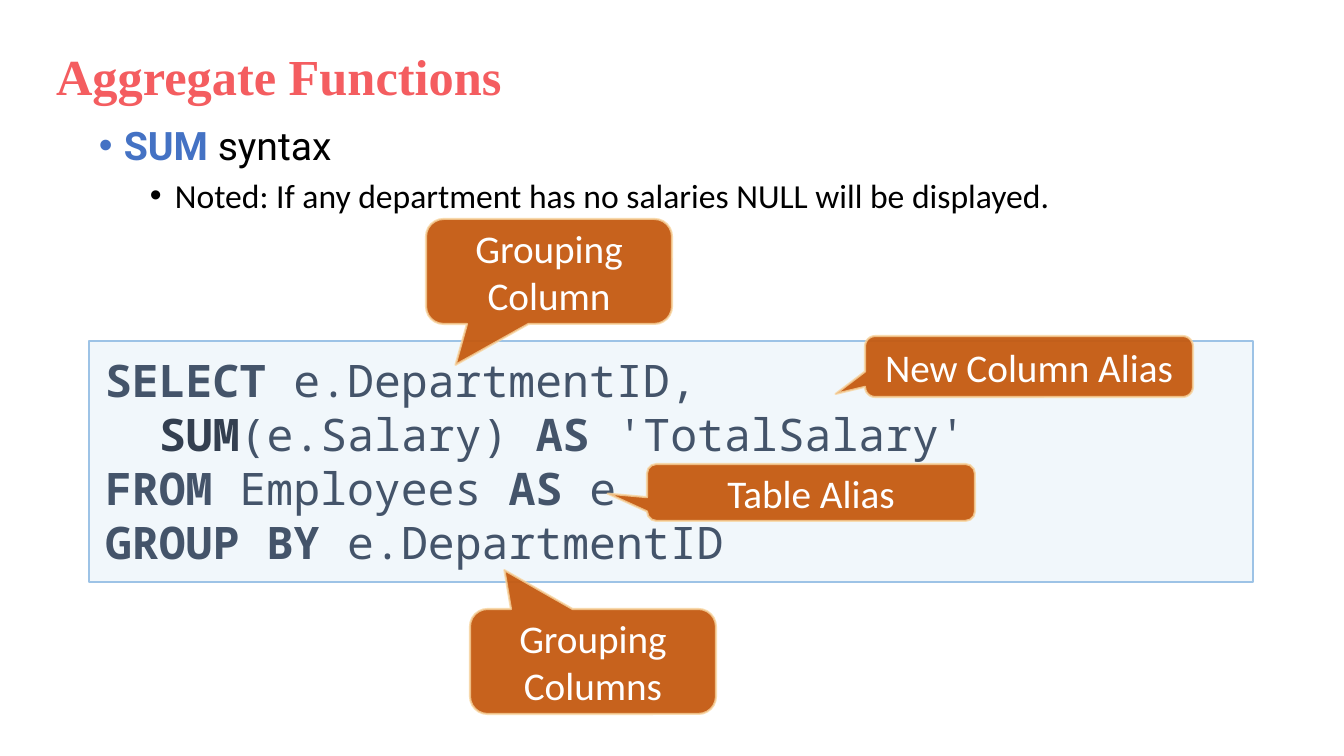
"""Builds the slide on the SUM aggregate function with annotated SQL code."""
from lxml import etree
from pptx import Presentation
from pptx import util as u
from pptx.dml.color import RGBColor
from pptx.enum import shapes, text
from pptx.oxml.ns import qn

PX = 914400 / 100.8
COLORS = {
    "title": "F45D60", "keyword": "4472C4", "body": "000000",
    "code": "44546A", "function": "333F50", "code_fill": "BDD7EE", "code_line": "9DC3E6",
    "callout": "C55A11", "callout_line": "F8D49E", "callout_text": "FFFFFF",
}


def paint(color_format, name, opacity=100):
    color_format.rgb = RGBColor.from_string(COLORS[name])
    if opacity < 100:
        for color in color_format._xFill.iter(qn("a:srgbClr")):
            etree.SubElement(color, qn("a:alpha")).set("val", str(opacity * 1000))


def add_runs(paragraph, runs):
    for content, bold, color in runs:
        run = paragraph.add_run()
        run.text = content
        run.font.bold = bold
        paint(run.font.color, color)


presentation = Presentation()
presentation.slide_width, presentation.slide_height = round(1344 * PX), round(756 * PX)
slide = presentation.slides.add_slide(presentation.slide_layouts[5])

title = slide.shapes.title
title.left, title.top, title.width, title.height = (round(n * PX) for n in (46, 40, 953, 72))
title.text_frame.text = "Aggregate Functions"
title.text_frame.vertical_anchor = text.MSO_ANCHOR.TOP
title.text_frame.auto_size = text.MSO_AUTO_SIZE.NONE
paragraph = title.text_frame.paragraphs[0]
paragraph.alignment = text.PP_ALIGN.LEFT
paragraph.font.name, paragraph.font.size, paragraph.font.bold = "Times New Roman", u.Pt(36), True
paint(paragraph.font.color, "title")

code_box = slide.shapes.add_shape(
    shapes.MSO_SHAPE.RECTANGLE, *(round(n * PX) for n in (89, 341, 1164, 241)))
code_box.shadow.inherit = False
code_box.fill.solid()
paint(code_box.fill.fore_color, "code_fill", 20)
paint(code_box.line.color, "code_line")
code_box.line.width = u.Pt(1)
frame = code_box.text_frame
frame.vertical_anchor = text.MSO_ANCHOR.TOP
frame.margin_left = frame.margin_right = round(16 * PX)
frame.margin_top = frame.margin_bottom = round(11 * PX)
code_lines = [
    (0, [("SELECT", True, "code"), (" e.DepartmentID,", False, "code")]),
    (54, [("SUM", True, "function"), ("(e.Salary) ", False, "code"),
          ("AS", True, "code"), (" 'TotalSalary'", False, "code")]),
    (0, [("FROM", True, "code"), (" Employees ", False, "code"),
         ("AS", True, "code"), (" e", False, "code")]),
    (0, [("GROUP BY ", True, "code"), ("e.DepartmentID", False, "code")]),
]
for number, (indent, runs) in enumerate(code_lines):
    paragraph = frame.add_paragraph() if number else frame.paragraphs[0]
    paragraph.alignment = text.PP_ALIGN.LEFT
    paragraph.line_spacing = u.Pt(38.6)
    paragraph.font.name, paragraph.font.size = "Noto Sans Mono", u.Pt(32)
    paragraph._p.get_or_add_pPr().set("marL", str(round(indent * PX)))
    add_runs(paragraph, runs)

callouts = [
    ("Grouping Column", (426, 219, 246, 105), (-0.38, 0.89)),
    ("Grouping Columns", (470, 609, 246, 105), (-0.36, -0.87)),
    ("Table Alias", (647, 464, 328, 57), (-0.62, 0.02)),
    ("New Column Alias", (865, 336, 328, 61), (-0.59, 0.45)),
]
for label, box, tip in callouts:
    callout = slide.shapes.add_shape(
        shapes.MSO_SHAPE.ROUNDED_RECTANGULAR_CALLOUT, *(round(n * PX) for n in box))
    callout.adjustments[0], callout.adjustments[1] = tip
    callout.shadow.inherit = False
    callout.fill.solid()
    paint(callout.fill.fore_color, "callout", 95)
    paint(callout.line.color, "callout_line", 80)
    callout.line.width = u.Pt(1.5)
    callout.text_frame.text = label
    callout.text_frame.vertical_anchor = text.MSO_ANCHOR.MIDDLE
    paragraph = callout.text_frame.paragraphs[0]
    paragraph.alignment = text.PP_ALIGN.CENTER
    paragraph.font.name, paragraph.font.size = "Calibri", u.Pt(28)
    paint(paragraph.font.color, "callout_text")

body = slide.shapes.add_textbox(*(round(n * PX) for n in (89, 116, 1159, 480)))
body.text_frame.word_wrap = True
bullets = [
    ([("SUM", True, "keyword"), (" syntax", False, "body")], "Roboto", 28, 25, 10),
    ([("Noted: If any department has no salaries NULL will be displayed.", False, "body")],
     "Calibri", 24, 76, 5),
]
for level, (runs, font, size, indent, space) in enumerate(bullets):
    paragraph = body.text_frame.add_paragraph() if level else body.text_frame.paragraphs[0]
    paragraph.level = level
    paragraph.space_before = u.Pt(space)
    paragraph.font.name, paragraph.font.size = font, u.Pt(size)
    add_runs(paragraph, runs)
    properties = paragraph._p.get_or_add_pPr()
    properties.set("marL", str(round(indent * PX)))
    properties.set("indent", str(round(-25 * PX)))
    bullet_font = etree.Element(qn("a:buFont"), typeface="Arial")
    properties.find(qn("a:spcBef")).addnext(bullet_font)
    bullet_font.addnext(etree.Element(qn("a:buChar"), char="•"))

presentation.save("out.pptx")
